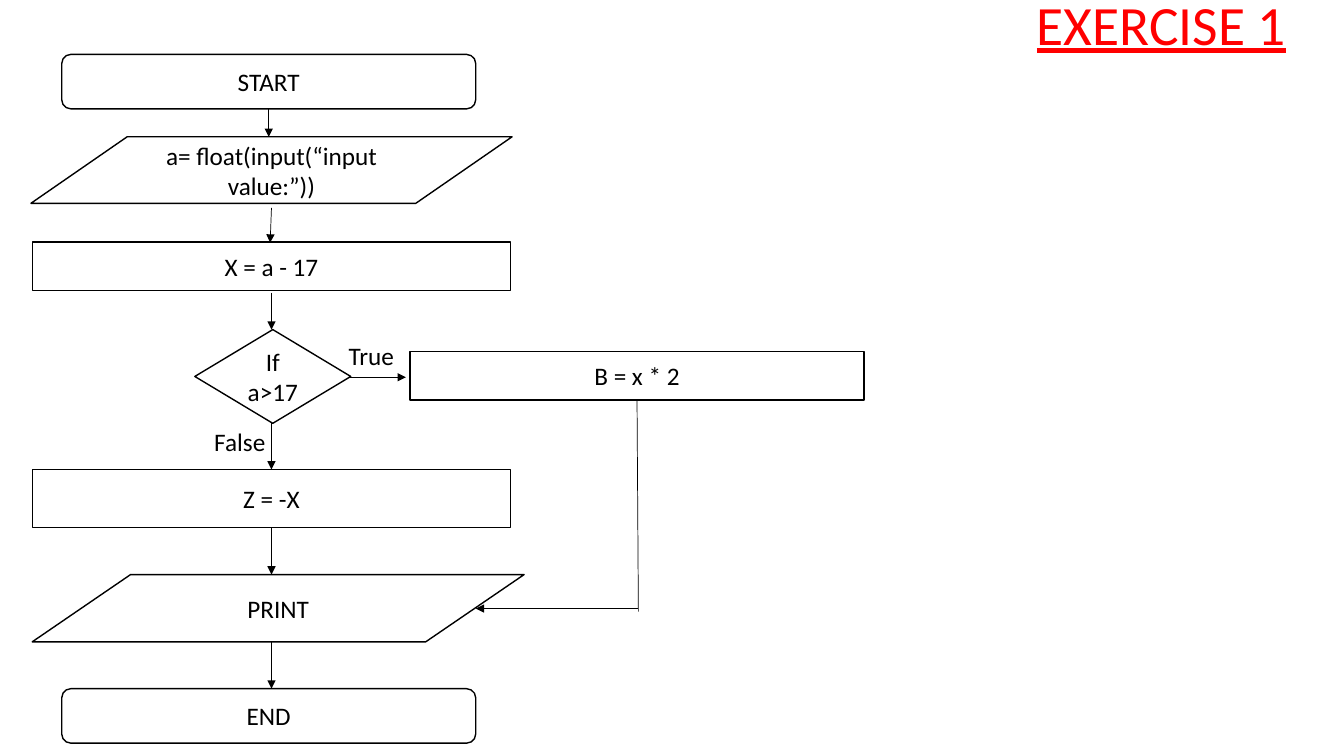
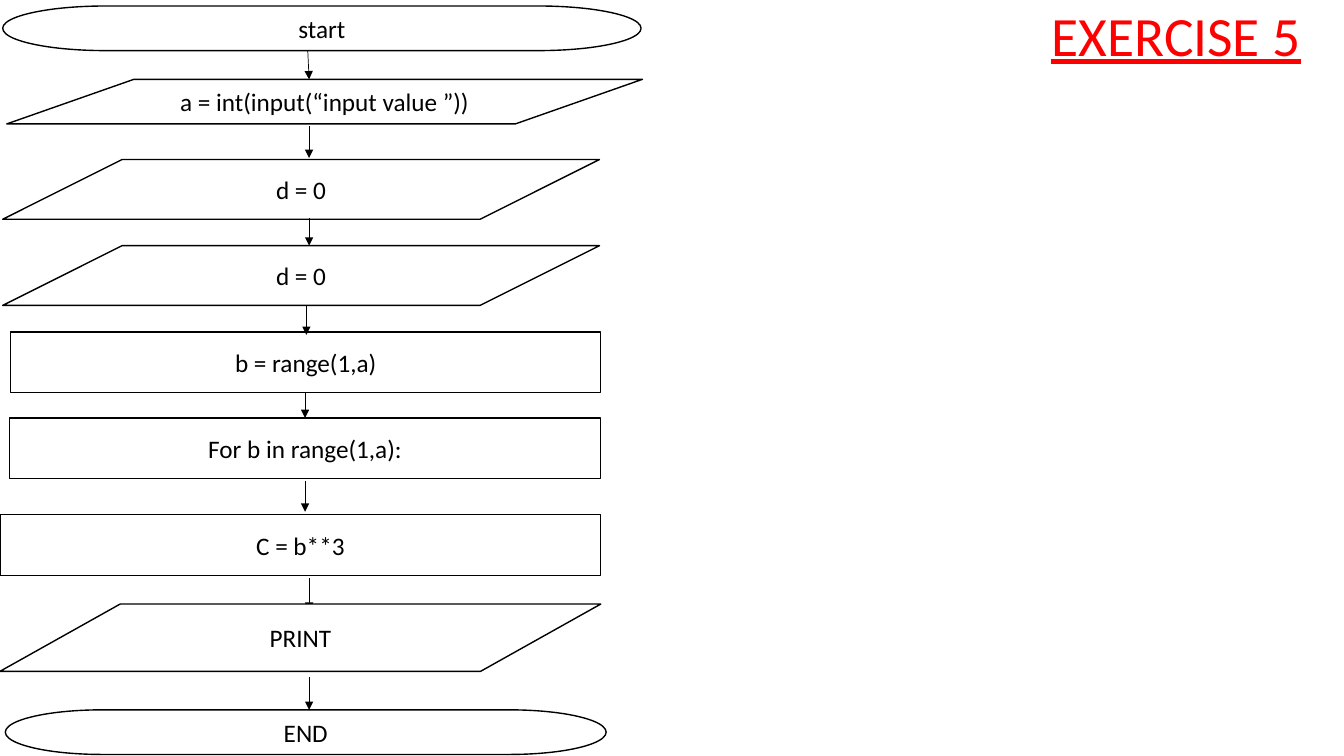
import dataclasses

import lxml.etree
import pptx
import pptx.dml.color
import pptx.enum.shapes
import pptx.enum.text
import pptx.oxml.ns
import pptx.util


# Theme: colours, type sizes and line widths
@dataclasses.dataclass(frozen=True)
class Theme:
    font: str = "Calibri"
    ink: str = "000000"
    paper: str = "FFFFFF"
    red: str = "FF0000"
    body: float = 18
    title: float = 39.6
    edge: float = 1
    wire: float = 0.5


theme = Theme()
kinds = pptx.enum.shapes.MSO_SHAPE
ROUND = kinds.FLOWCHART_ALTERNATE_PROCESS
OVAL = kinds.FLOWCHART_TERMINATOR
DATA = kinds.FLOWCHART_DATA
STEP = kinds.FLOWCHART_PROCESS
TEST = kinds.FLOWCHART_DECISION

deck = pptx.Presentation()
deck.slide_width = pptx.util.Inches(13.33)
deck.slide_height = pptx.util.Inches(7.5)
# One column and one row are each a hundredth of the slide
col, row = deck.slide_width / 100, deck.slide_height / 100
color = pptx.dml.color.RGBColor.from_string


def place(slide, kind, text, x, y, wide, high):
    """Add a flowchart box, or plain text when kind is None."""
    area = [int(n) for n in (x * col, y * row, wide * col, high * row)]
    if kind is None:
        shape = slide.shapes.add_textbox(*area)
    else:
        shape = slide.shapes.add_shape(kind, *area)
        shape.shadow.inherit = False
        shape.fill.solid()
        shape.fill.fore_color.rgb = color(theme.paper)
        shape.line.color.rgb = color(theme.ink)
        shape.line.width = pptx.util.Pt(theme.edge)
    frame = shape.text_frame
    frame.word_wrap = True
    frame.text = text
    para = frame.paragraphs[0]
    if kind is not None:
        para.alignment = pptx.enum.text.PP_ALIGN.CENTER
    para.font.name = theme.font
    para.font.size = pptx.util.Pt(theme.body)
    para.font.color.rgb = color(theme.ink)
    return frame


def link(slide, x1, y1, x2, y2, head=True):
    """Join two grid points with a thin line or arrow."""
    ends = [int(n) for n in (x1 * col, y1 * row, x2 * col, y2 * row)]
    wire = slide.shapes.add_connector(
        pptx.enum.shapes.MSO_CONNECTOR.STRAIGHT, *ends)
    wire.line.color.rgb = color(theme.ink)
    wire.line.width = pptx.util.Pt(theme.wire)
    name = pptx.oxml.ns.qn
    if head:
        lxml.etree.SubElement(
            wire.line._get_or_add_ln(), name("a:tailEnd"), type="triangle")
    lxml.etree.SubElement(wire._element.spPr, name("a:effectLst"))


# Charts: boxes and labels as (kind, text, x, y, wide, high),
# wires as (x1, y1, x2, y2); the print box lies on top
charts = [
    {
        "title": ("EXERCISE 1", 76.4, 0, 23, 7.2),
        "boxes": [
            (ROUND, "START", 4.6, 7.2, 30.8, 7.2),
            (DATA, "a= float(input(“input value:”))", 2.3, 18.1, 35.8, 8.8),
            (STEP, "X = a - 17", 2.4, 32, 35.6, 6.4),
            (TEST, "If a>17", 14.5, 43.6, 11.6, 12.4),
            (STEP, "B = x * 2", 30.5, 46.5, 33.8, 6.4),
            (STEP, "Z = -X", 2.4, 62.1, 35.6, 7.7),
            (ROUND, "END", 4.6, 91.1, 30.8, 7.2),
            (None, "True", 25.2, 44.3, 5.2, 5.3),
            (None, "False", 15.2, 55.7, 6, 5.3),
        ],
        "wires": [
            (20, 14.4, 20, 18.1),
            (20.2, 27.5, 20.1, 32.1),
            (20.2, 38.7, 20.2, 43.6),
            (26, 49.9, 30.2, 49.9),
            (20.2, 56, 20.2, 62.1),
            (20.2, 69.9, 20.2, 76),
            (20.2, 84.9, 20.2, 91.1),
            (47.4, 52.9, 47.5, 80.9, False),
            (47.5, 80.5, 35.4, 80.5),
        ],
        "print": (2.4, 76, 36.6, 8.9),
    },
    {
        "title": ("EXERCISE 5", 77.5, 0, 22.5, 10.1),
        "boxes": [
            (OVAL, "start", 0.2, 0.8, 47.5, 5.9),
            (DATA, "a = int(input(“input value ”))", 0.5, 10.5, 47.3, 5.9),
            (DATA, "d = 0", 0.2, 21.1, 44.4, 7.9),
            (DATA, "d = 0", 0.2, 32.5, 44.4, 7.9),
            (STEP, "b = range(1,a)", 0.8, 43.9, 43.9, 8),
            (STEP, "For b in range(1,a):", 0.7, 55.3, 44, 8),
            (STEP, "C = b**3", 0, 68.1, 44.7, 8),
            (OVAL, "END", 0.4, 93.9, 44.7, 5.9),
        ],
        "wires": [
            (22.9, 6.7, 23, 10.5),
            (23, 16.7, 23, 20.9),
            (23, 28.9, 23, 32.5),
            (22.8, 40.4, 22.8, 44.3),
            (22.7, 51.9, 22.7, 55.3),
            (22.7, 63.6, 22.7, 67.7),
            (23, 76.5, 23, 80.8),
            (23, 89.6, 23, 93.9),
        ],
        "print": (0, 79.9, 44.7, 8.9),
    },
]

for chart in charts:
    slide = deck.slides.add_slide(deck.slide_layouts[6])

    # Title
    frame = place(slide, None, *chart["title"])
    frame.vertical_anchor = pptx.enum.text.MSO_ANCHOR.MIDDLE
    para = frame.paragraphs[0]
    para.line_spacing = 0.9
    para.font.size = pptx.util.Pt(theme.title)
    para.font.color.rgb = color(theme.red)
    para.font.underline = True

    # Flowchart
    for box in chart["boxes"]:
        place(slide, *box)
    for wire in chart["wires"]:
        link(slide, *wire)
    place(slide, DATA, "PRINT", *chart["print"])

deck.save("out.pptx")
